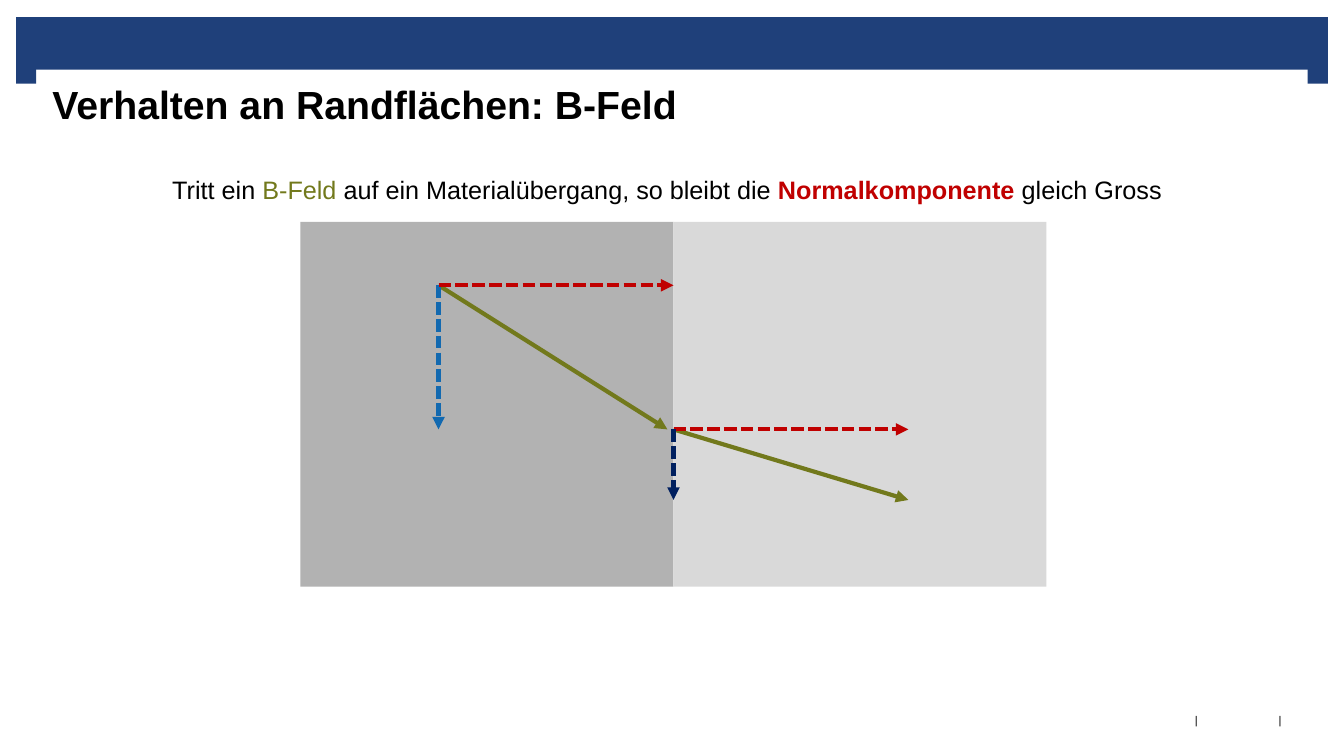
"""Build a slide on how a B field behaves at the boundary between two materials."""
from lxml import etree
from pptx import Presentation
from pptx.dml.color import RGBColor
from pptx.enum.dml import MSO_LINE_DASH_STYLE as DASH
from pptx.enum.shapes import MSO_CONNECTOR, MSO_SHAPE
from pptx.enum.text import MSO_ANCHOR, MSO_AUTO_SIZE, PP_ALIGN
from pptx.oxml.ns import qn
from pptx.util import Inches, Pt

BLACK, BLUE = "000000", "1F407A"
FIELD, NORMAL = "72791C", "C00000"
TANGENT_LEFT, TANGENT_RIGHT = "1269B0", "002060"


def color(hex_string):
    return RGBColor.from_string(hex_string)


def add_run(paragraph, text, size, hex_string=BLACK, bold=False):
    run = paragraph.add_run()
    run.text = text
    run.font.name = "Arial"
    run.font.size = Pt(size)
    run.font.bold = bold
    run.font.color.rgb = color(hex_string)


presentation = Presentation()
presentation.slide_width = Inches(13.33)
presentation.slide_height = Inches(7.5)
slide = presentation.slides.add_slide(presentation.slide_layouts[5])
shapes = slide.shapes

band_left, band_width, tab_width = 0.16, 13.01, 0.2
boundary, material_top = 6.68, 2.2
material_width, material_height = 3.7, 3.62
rectangles = [
    (band_left, 0.17, band_width, 0.52, BLUE),
    (band_left, 0.65, tab_width, 0.18, BLUE),
    (band_left + band_width - tab_width, 0.65, tab_width, 0.18, BLUE),
    (boundary - material_width, material_top, material_width, material_height, "B2B2B2"),
    (boundary, material_top, material_width, material_height, "D9D9D9"),
]
for left, top, width, height, fill in rectangles:
    rectangle = shapes.add_shape(
        MSO_SHAPE.RECTANGLE, Inches(left), Inches(top), Inches(width), Inches(height))
    rectangle.shadow.inherit = False
    rectangle.fill.solid()
    rectangle.fill.fore_color.rgb = color(fill)
    rectangle.line.fill.background()

title = shapes.title
title.left, title.top = Inches(0.36), Inches(0.68)
title.width, title.height = Inches(12.62), Inches(1.11)
frame = title.text_frame
frame.auto_size = MSO_AUTO_SIZE.NONE
frame.vertical_anchor = MSO_ANCHOR.TOP
frame.margin_left = frame.margin_right = Inches(0.16)
frame.margin_top, frame.margin_bottom = Inches(0.12), 0
frame.paragraphs[0].alignment = PP_ALIGN.LEFT
add_run(frame.paragraphs[0], "Verhalten an Randflächen: B-Feld", 28, bold=True)

start_x, start_y = 4.35, 2.83
normal = boundary - start_x
end_x = boundary + normal
hit_y, end_y = 4.26, 4.96
arrows = [
    (start_x, start_y, boundary - 0.06, hit_y, FIELD, DASH.SOLID),
    (boundary, hit_y, end_x, end_y, FIELD, DASH.SOLID),
    (start_x, start_y, start_x, hit_y, TANGENT_LEFT, DASH.SQUARE_DOT),
    (start_x, start_y, boundary, start_y, NORMAL, DASH.SQUARE_DOT),
    (boundary, hit_y, end_x, hit_y, NORMAL, DASH.SQUARE_DOT),
    (boundary, hit_y, boundary, end_y, TANGENT_RIGHT, DASH.SQUARE_DOT),
]
for from_x, from_y, to_x, to_y, stroke, dash in arrows:
    arrow = shapes.add_connector(
        MSO_CONNECTOR.STRAIGHT, Inches(from_x), Inches(from_y), Inches(to_x), Inches(to_y))
    arrow.line.color.rgb = color(stroke)
    arrow.line.width = Pt(3)
    arrow.line.dash_style = dash
    etree.SubElement(arrow.line._get_or_add_ln(), qn("a:tailEnd"), type="triangle")
    etree.SubElement(arrow._element.spPr, qn("a:effectLst"))

statement = shapes.add_textbox(Inches(1.61), Inches(1.68), Inches(10.11), Inches(0.4))
statement.text_frame.word_wrap = False
statement.text_frame.auto_size = MSO_AUTO_SIZE.SHAPE_TO_FIT_TEXT
for text, hex_string, bold in [
    ("Tritt ein ", BLACK, False),
    ("B-Feld", FIELD, False),
    (" auf ein Materialübergang, so bleibt die ", BLACK, False),
    ("Normalkomponente", NORMAL, True),
    (" gleich Gross", BLACK, False),
]:
    add_run(statement.text_frame.paragraphs[0], text, 18, hex_string, bold)

for left in (11.79, 12.62):
    separator = shapes.add_textbox(Inches(left), Inches(6.89), Inches(0.15), Inches(0.51))
    frame = separator.text_frame
    frame.word_wrap = False
    frame.vertical_anchor = MSO_ANCHOR.MIDDLE
    frame.margin_left = frame.margin_right = Inches(0.04)
    frame.paragraphs[0].alignment = PP_ALIGN.CENTER
    add_run(frame.paragraphs[0], "|", 8)

presentation.save("out.pptx")
